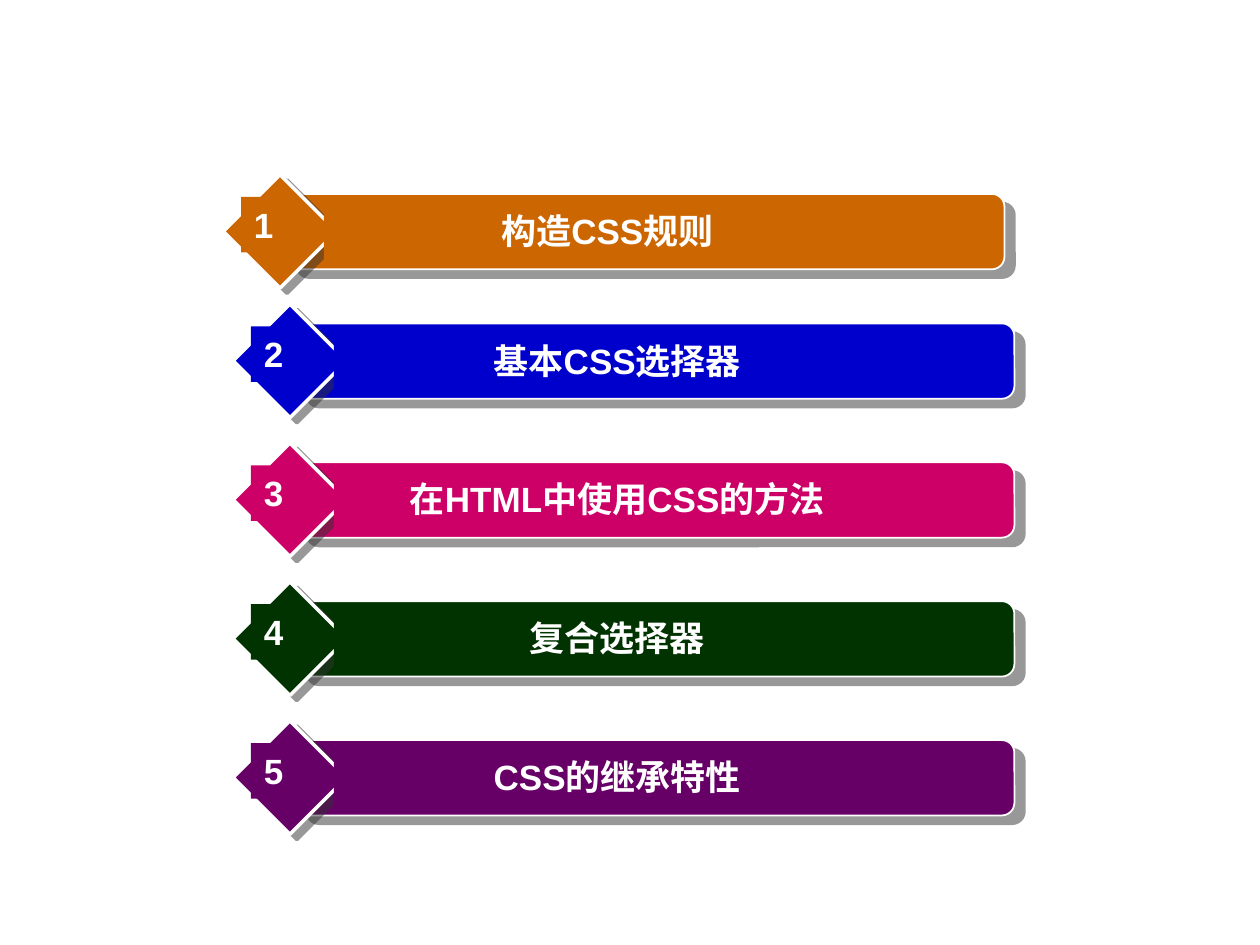
from pptx import Presentation
from pptx.dml.color import RGBColor
from pptx.enum import shapes, text
from pptx.oxml import ns, parse_xml
from pptx.util import Cm, Pt

WHITE = RGBColor(255, 255, 255)
ORANGE = RGBColor(0xCC, 0x66, 0x00)
BLUE = RGBColor(0x00, 0x00, 0xCC)
PINK = RGBColor(0xCC, 0x00, 0x66)
GREEN = RGBColor(0x00, 0x33, 0x00)
PURPLE = RGBColor(0x66, 0x00, 0x66)

TOPICS = [
    ("构造CSS规则", ORANGE, 5.77, 3.91),
    ("基本CSS选择器", BLUE, 5.97, 6.52),
    ("在HTML中使用CSS的方法", PINK, 5.97, 9.32),
    ("复合选择器", GREEN, 5.97, 12.12),
    ("CSS的继承特性", PURPLE, 5.97, 14.92),
]
KIND = shapes.MSO_SHAPE


def add_box(group, kind, color, left, top, width, height):
    box = group.shapes.add_shape(kind, Cm(left), Cm(top), Cm(width), Cm(height))
    box.shadow.inherit = False
    box.fill.solid()
    box.fill.fore_color.rgb = color
    box.line.fill.background()
    return box


def add_edge(box, width, dist, angle):
    box.line.color.rgb = WHITE
    box.line.width = Pt(width)
    effects = box._element.spPr.find(ns.qn("a:effectLst"))
    effects.append(parse_xml(
        f'<a:outerShdw {ns.nsdecls("a")} dist="{Pt(dist)}" dir="{angle * 60000}" '
        'algn="ctr" rotWithShape="0"><a:srgbClr val="333333">'
        '<a:alpha val="50000"/></a:srgbClr></a:outerShdw>'))


def add_words(box, words, wrap):
    frame = box.text_frame
    frame.word_wrap = wrap
    frame.auto_size = text.MSO_AUTO_SIZE.SHAPE_TO_FIT_TEXT
    frame.vertical_anchor = text.MSO_ANCHOR.TOP
    par = frame.paragraphs[0]
    par.text = words
    par.alignment = text.PP_ALIGN.CENTER
    par.font.name = "Arial"
    par.font.size = Pt(20)
    par.font.bold = True
    par.font.color.rgb = WHITE


deck = Presentation()
deck.slide_width, deck.slide_height = Cm(25.4), Cm(19.05)
slide = deck.slides.add_slide(deck.slide_layouts[6])

for number, (title, color, left, top) in enumerate(TOPICS, 1):
    group = slide.shapes.add_group_shape()
    bar = add_box(group, KIND.ROUNDED_RECTANGLE, color, left, top, 14.48, 1.52)
    add_edge(bar, 1, 7.8, 40)
    gem = add_box(group, KIND.DIAMOND, color, left - 1.27, top - 0.39, 2.29, 2.29)
    add_edge(gem, 2, 5, 37)
    label = add_box(group, KIND.RECTANGLE, color, left + 0.76, top + 0.19, 11.43, 1.12)
    add_words(label, title, True)
    digit = add_box(group, KIND.RECTANGLE, color, left - 0.91, top + 0.06, 0.91, 1.12)
    add_words(digit, str(number), False)

deck.save("out.pptx")
